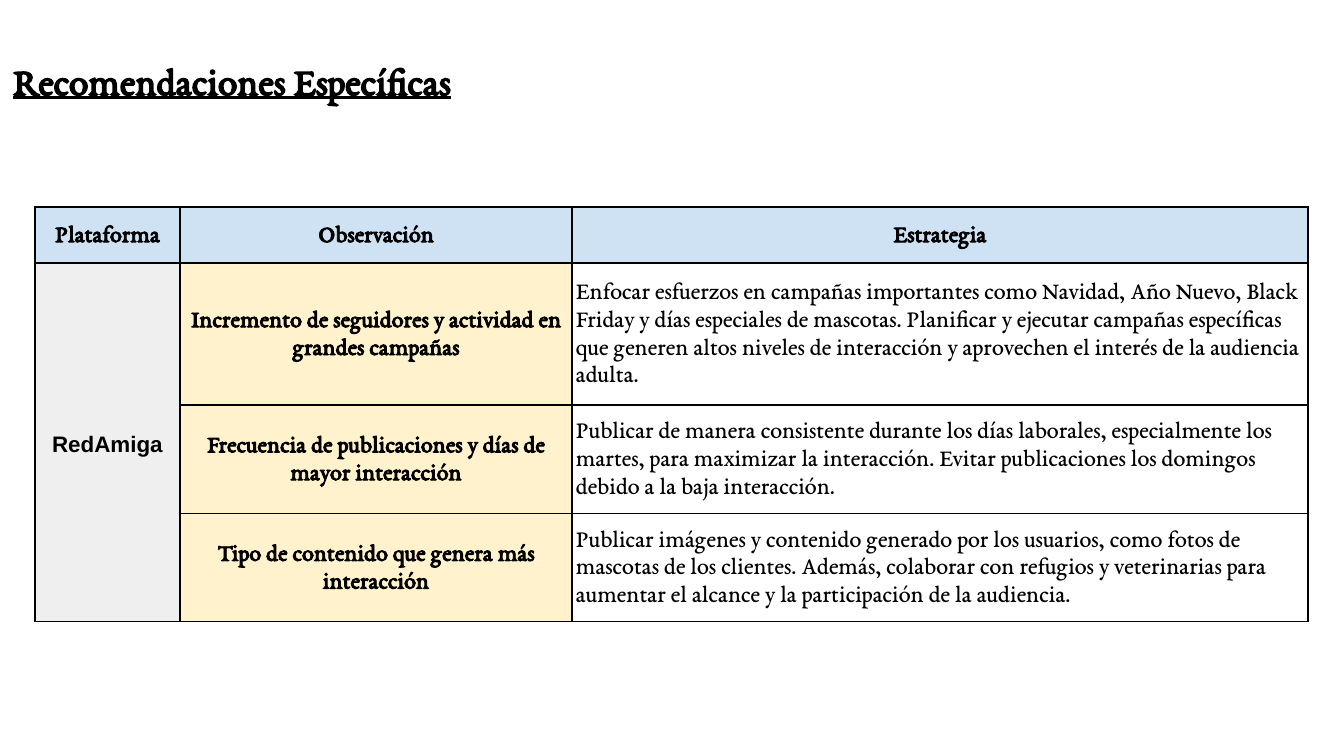
from lxml.etree import SubElement
from pptx import Presentation
from pptx.dml.color import RGBColor as Rgb
from pptx.enum.text import MSO_ANCHOR as Anchor, MSO_AUTO_SIZE as Fit, PP_ALIGN as Align
from pptx.oxml.ns import qn
from pptx.util import Pt

SCALE = 914400 / 134.4
SERIF = "EB Garamond"
COLORS = {"ink": "000000", "head": "CFE2F3", "site": "EFEFEF", "note": "FFF2CC"}
COLS = [145, 392, 736]
ROWS = [56, 141, 108, 108]
HEADS = ["Plataforma", "Observación", "Estrategia"]
SITE = "RedAmiga"
ADVICE = [
    ("Incremento de seguidores y actividad en grandes campañas",
     "Enfocar esfuerzos en campañas importantes como Navidad, Año Nuevo, Black Friday "
     "y días especiales de mascotas. Planificar y ejecutar campañas específicas que "
     "generen altos niveles de interacción y aprovechen el interés de la audiencia adulta."),
    ("Frecuencia de publicaciones y días de mayor interacción",
     "Publicar de manera consistente durante los días laborales, especialmente los "
     "martes, para maximizar la interacción. Evitar publicaciones los domingos debido "
     "a la baja interacción."),
    ("Tipo de contenido que genera más interacción",
     "Publicar imágenes y contenido generado por los usuarios, como fotos de mascotas "
     "de los clientes. Además, colaborar con refugios y veterinarias para aumentar el "
     "alcance y la participación de la audiencia."),
]


def px(n):
    return round(n * SCALE)


def write(frame, text, size, face=SERIF, bold=True, align=Align.CENTER):
    para = frame.paragraphs[0]
    para.text = text
    para.alignment = align
    para.line_spacing = 1.15
    font = para.font
    font.name, font.size, font.bold = face, Pt(size), bold
    font.color.rgb = Rgb.from_string(COLORS["ink"])
    return font


def add_title(slide, text):
    box = slide.shapes.add_textbox(0, px(36), px(581), px(75))
    frame = box.text_frame
    frame.word_wrap = True
    frame.auto_size = Fit.SHAPE_TO_FIT_TEXT
    frame.margin_left = frame.margin_right = px(13)
    frame.margin_top = frame.margin_bottom = px(13)
    write(frame, text, 21, align=Align.LEFT).underline = True


def style(cell, fill=None):
    """Set the margins, borders and fill of a cell."""
    cell.vertical_anchor = Anchor.MIDDLE
    cell.margin_left = cell.margin_right = px(4)
    cell.margin_top = cell.margin_bottom = px(4)
    props = cell._tc.get_or_add_tcPr()
    for side in ("a:lnL", "a:lnR", "a:lnT", "a:lnB"):
        line = SubElement(props, qn(side), w=str(Pt(0.75)))
        paint = SubElement(line, qn("a:solidFill"))
        SubElement(paint, qn("a:srgbClr"), val=COLORS["ink"])
    if fill:
        cell.fill.solid()
        cell.fill.fore_color.rgb = Rgb.from_string(COLORS[fill])
    else:
        cell.fill.background()


def add_grid(slide):
    frame = slide.shapes.add_table(len(ROWS), len(COLS), px(35), px(207),
                                   px(sum(COLS)), px(sum(ROWS)))
    table = frame.table
    for col, width in zip(table.columns, COLS):
        col.width = px(width)
    for row, height in zip(table.rows, ROWS):
        row.height = px(height)

    for col, text in enumerate(HEADS):
        cell = table.cell(0, col)
        style(cell, "head")
        write(cell.text_frame, text, 13)
    for row, (note, plan) in enumerate(ADVICE, 1):
        site, left, right = (table.cell(row, col) for col in range(3))
        style(site, "site")
        style(left, "note")
        write(left.text_frame, note, 13)
        style(right)
        write(right.text_frame, plan, 13, bold=False, align=Align.LEFT)

    first = table.cell(1, 0)
    first.merge(table.cell(len(ADVICE), 0))
    write(first.text_frame, SITE, 12, face="Arial")


def main():
    deck = Presentation()
    deck.slide_width, deck.slide_height = px(1344), px(756)
    slide = deck.slides.add_slide(deck.slide_layouts[6])
    add_title(slide, "Recomendaciones Específicas")
    add_grid(slide)
    deck.save("out.pptx")


if __name__ == "__main__":
    main()
